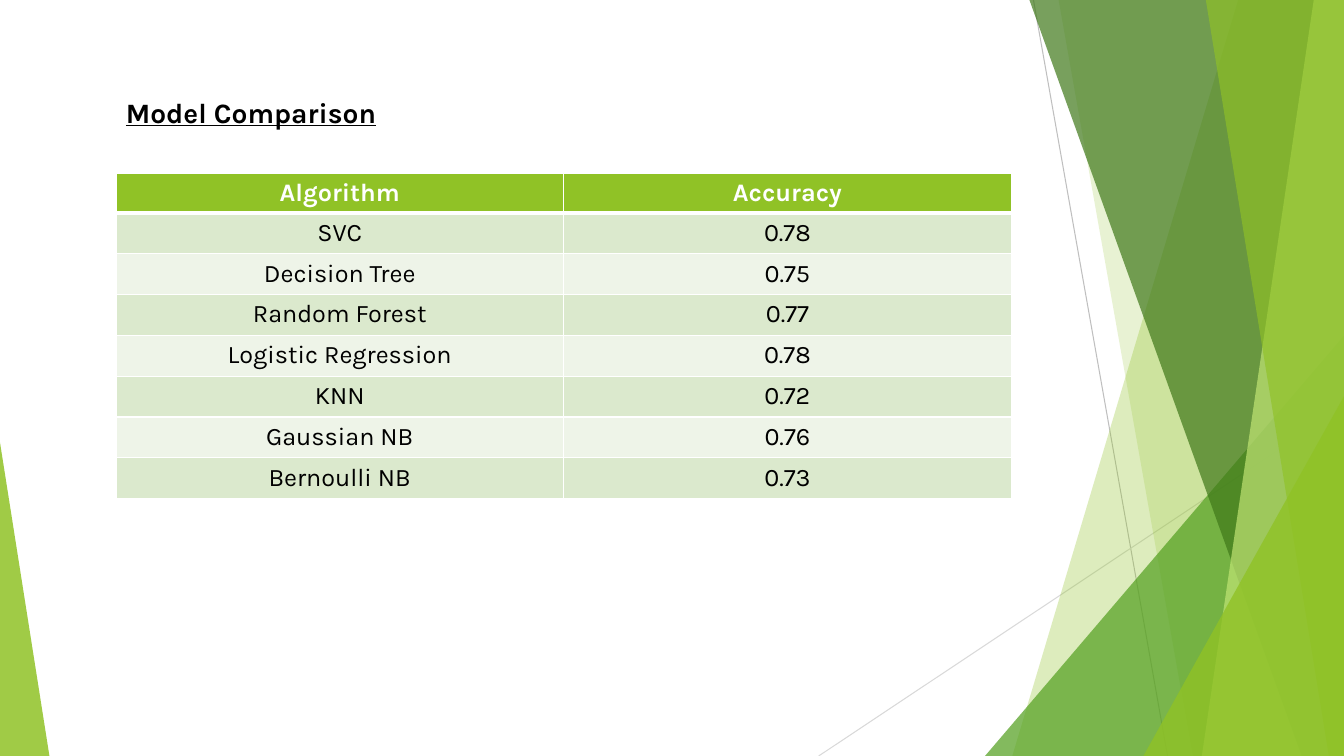
from lxml.etree import SubElement
from pptx import Presentation
from pptx.dml.color import RGBColor
from pptx.enum.shapes import MSO_CONNECTOR, MSO_SHAPE
from pptx.enum.text import MSO_ANCHOR, MSO_AUTO_SIZE, PP_ALIGN
from pptx.oxml.ns import qn
from pptx.util import Inches, Pt

THEME = {
    "font": "Karla", "title": 20, "body": 18,
    "text": "000000", "white": "FFFFFF",
    "lime": "90C226", "green": "54A021", "forest": "3F7819", "pale": "C0E474",
    "odd_row": "DBE9CD", "even_row": "EEF4E8",
    "line_dark": "BFBFBF", "line_light": "D9D9D9",
}
W, H = 13.33, 7.5
LEFT = 1.15


def paint(shape, color, alpha):
    shape.shadow.inherit = False
    shape.line.fill.background()
    shape.fill.solid()
    shape.fill.fore_color.rgb = RGBColor.from_string(THEME[color])
    clr = shape.fill._xPr.find(qn("a:solidFill"))[0]
    SubElement(clr, qn("a:alpha"), val=str(alpha * 1000))


def add_run(p, text, size, color, bold):
    r = p.add_run()
    r.text = text
    r.font.name, r.font.size, r.font.bold = THEME["font"], Pt(THEME[size]), bold
    r.font.color.rgb = RGBColor.from_string(THEME[color])
    return r


prs = Presentation()
prs.slide_width, prs.slide_height = Inches(W), Inches(H)
s = prs.slides.add_slide(prs.slide_layouts[6])

# Thin background lines
for x1, y1, x2, color in [(10.25, 0, 11.58, "line_dark"), (W, 4.03, 8.12, "line_light")]:
    c = s.shapes.add_connector(MSO_CONNECTOR.STRAIGHT, Inches(x1), Inches(y1), Inches(x2), Inches(H))
    c.line.color.rgb = RGBColor.from_string(THEME[color])
    c.line.width = Pt(0.75)
    SubElement(c._element.spPr, qn("a:effectLst"))

# Facets on the right: bands have a top and a bottom x, triangles a bottom x and an apex y
facets = [
    ("band", 12.28, 10.04, "lime", 30),
    ("band", 10.5, 11.83, "lime", 20),
    ("triangle", 9.77, 3.33, "green", 72),
    ("band", 10.21, 12.91, "forest", 70),
    ("band", 13.03, 11.92, "pale", 70),
    ("band", 11.96, 13.18, "lime", 65),
    ("triangle", 11.34, 3.93, "lime", 80),
]
for kind, a, b, color, alpha in facets:
    if kind == "band":
        fb = s.shapes.build_freeform(Inches(a), 0)
        fb.add_line_segments([(Inches(x), Inches(y)) for x, y in [(W, 0), (W, H), (b, H)]])
        sp = fb.convert_to_shape()
    else:
        sp = s.shapes.add_shape(MSO_SHAPE.ISOSCELES_TRIANGLE, Inches(a), Inches(b),
                                Inches(W - a), Inches(H - b))
        sp.adjustments[0] = 1
    paint(sp, color, alpha)

# Wedge on the left
sp = s.shapes.add_shape(MSO_SHAPE.ISOSCELES_TRIANGLE, 0, Inches(4.39), Inches(0.49), Inches(H - 4.39))
sp.adjustments[0] = 0
paint(sp, "lime", 85)

# Accuracy table
rows = [
    ("Algorithm", "Accuracy"),
    ("SVC", "0.78"),
    ("Decision Tree", "0.75"),
    ("Random Forest", "0.77"),
    ("Logistic Regression", "0.78"),
    ("KNN", "0.72"),
    ("Gaussian NB", "0.76"),
    ("Bernoulli NB", "0.73"),
]
HEAD_H, ROW_H, COL_W = 0.38, 0.405, 4.44
tbl = s.shapes.add_table(len(rows), 2, Inches(LEFT), Inches(1.72), Inches(2 * COL_W),
                         Inches(HEAD_H + ROW_H * (len(rows) - 1))).table
for col in tbl.columns:
    col.width = Inches(COL_W)
for i, row in enumerate(rows):
    tbl.rows[i].height = Inches(ROW_H if i else HEAD_H)
    fill = ("odd_row" if i % 2 else "even_row") if i else "lime"
    for j, text in enumerate(row):
        cell = tbl.cell(i, j)
        tcPr = cell._tc.get_or_add_tcPr()
        for side in "LRTB":
            thick = (i, side) in [(0, "B"), (1, "T")]
            ln = SubElement(tcPr, qn(f"a:ln{side}"), w=str(Pt(3 if thick else 1)))
            SubElement(SubElement(ln, qn("a:solidFill")), qn("a:srgbClr"), val=THEME["white"])
        cell.fill.solid()
        cell.fill.fore_color.rgb = RGBColor.from_string(THEME[fill])
        p = cell.text_frame.paragraphs[0]
        p.alignment = PP_ALIGN.CENTER
        add_run(p, text, "body", "text" if i else "white", i == 0)

# Heading
tf = s.shapes.add_textbox(Inches(LEFT), Inches(0.9), Inches(2.97), Inches(0.44)).text_frame
tf.word_wrap = True
tf.auto_size = MSO_AUTO_SIZE.SHAPE_TO_FIT_TEXT
tf.vertical_anchor = MSO_ANCHOR.TOP
r = add_run(tf.paragraphs[0], "Model Comparison", "title", "text", True)
r.font.underline = True

prs.save("out.pptx")
